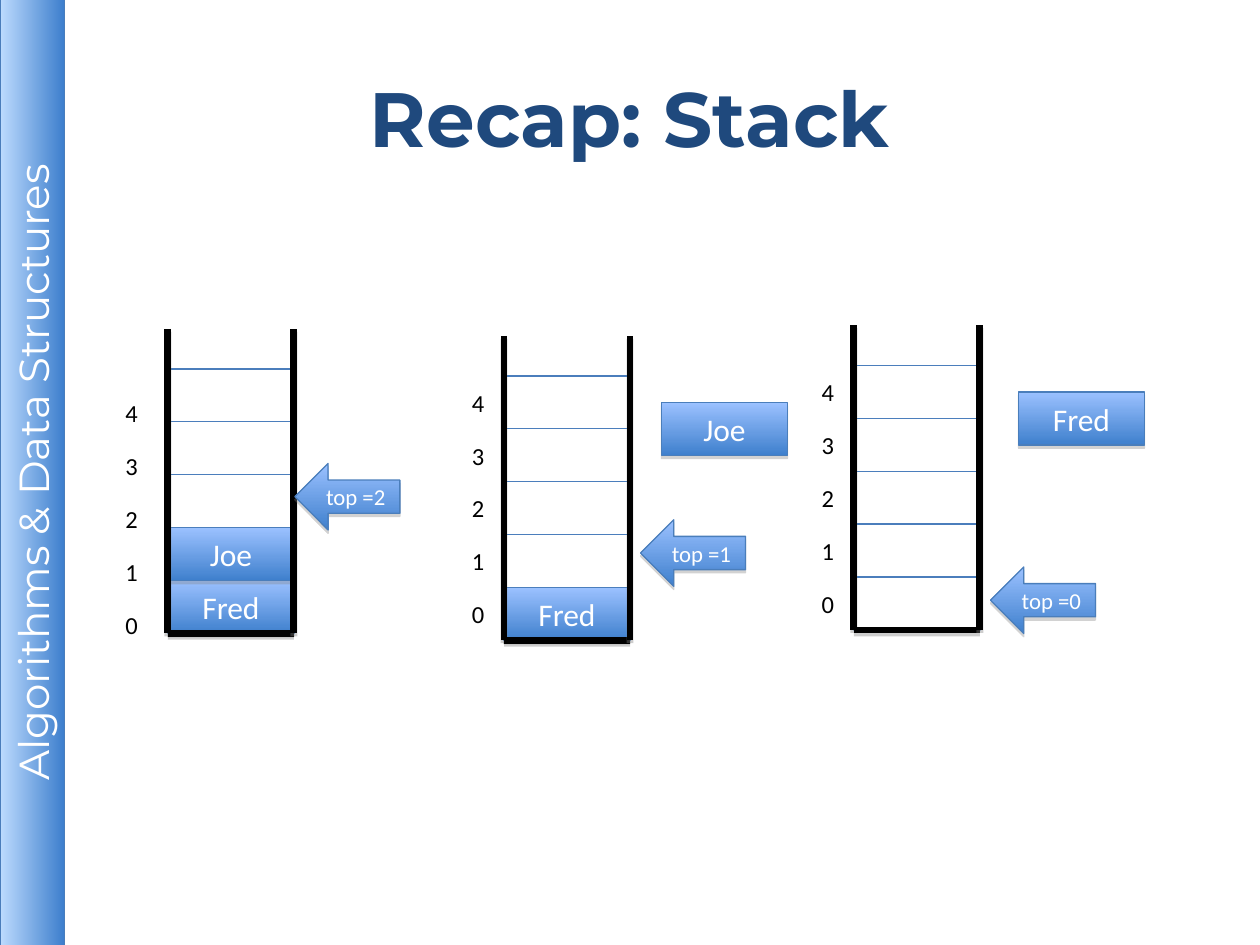
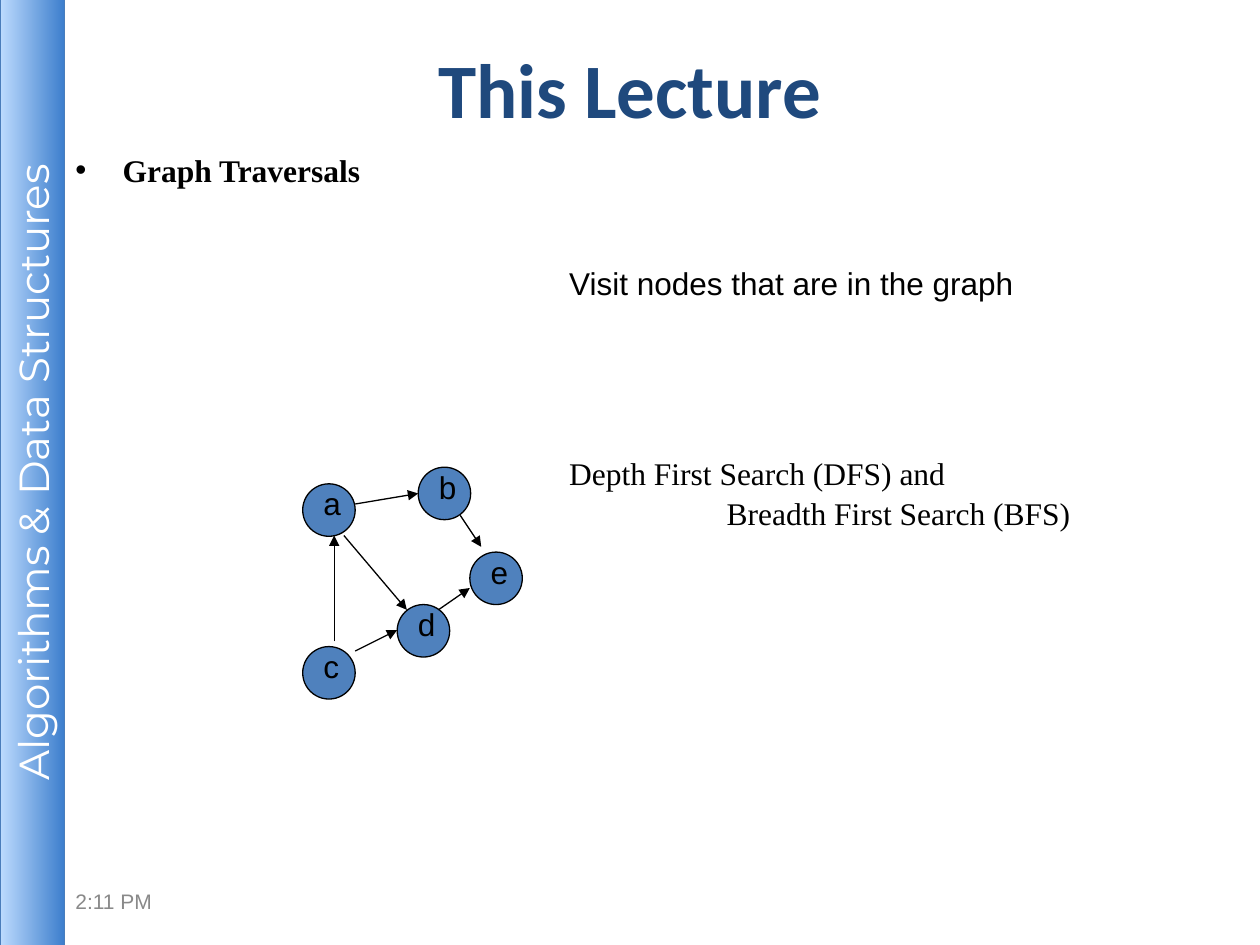
from lxml import etree
from pptx import Presentation
from pptx.dml.color import RGBColor
from pptx.enum.shapes import MSO_CONNECTOR, MSO_SHAPE
from pptx.enum.text import MSO_ANCHOR, PP_ALIGN
from pptx.oxml.ns import qn
from pptx.util import Pt

RECTANGLE, OVAL, LEFT_ARROW = MSO_SHAPE.RECTANGLE, MSO_SHAPE.OVAL, MSO_SHAPE.LEFT_ARROW
STRAIGHT = MSO_CONNECTOR.STRAIGHT
TOP, MIDDLE = MSO_ANCHOR.TOP, MSO_ANCHOR.MIDDLE
LEFT, CENTER, JUSTIFY = PP_ALIGN.LEFT, PP_ALIGN.CENTER, PP_ALIGN.JUSTIFY

# Shared style
WIDTH, HEIGHT = 720, 540
BLACK, WHITE, NAVY, GREY = "000000", "FFFFFF", "1F497D", "898989"
NODE_BLUE, CELL_LINE, ITEM_LINE, BAND_LINE = "4F81BD", "4B7EBC", "4A7EBB", "4A7DBB"
ITEM_GRADIENT = ("9BC1FF", "3F80CD")
BAND_GRADIENT = ("BDDBFE", "3E7FCD")
ITEM_SHADOW = ("808080", 35, 1.8)
WALL_SHADOW = ("808080", 38, 1.6)
BAND_SHADOW = ("EEECE1", 35, 1.8)

# Slide 1: stacks, from back to front
COURSE = "Algorithms & Data Structures"
CELL_WIDTH, CELL_HEIGHT, CELL_COUNT = 72, 30.24, 5
WALL_HEIGHT, WALL_LINE = 174, 4
STACKS = [
    dict(left=488, bottom=360, label_shift=(-30, 0), items=[],
         top="top =0", arrow=(566, 324)),
    dict(left=288, bottom=366, label_shift=(-30, 0), items=["Fred"],
         top="top =1", arrow=(366, 297)),
    dict(left=96, bottom=362, label_shift=(-36, 10), items=["Fred", "Joe"],
         top="top =2", arrow=(168.5, 264.8)),
]
POPPED_ITEMS = [("Joe", 378, 230), ("Fred", 582, 224)]

# Slide 2: graph
NODE_SIZE = 30
NODES = {"a": (173, 276.5), "b": (239, 267), "c": (173, 369.5),
         "e": (268.5, 315.5), "d": (227, 345.5)}
EDGES = [
    ((203, 288), (239, 282)),
    ((196.5, 306), (232.5, 348.5)),
    ((191, 366.5), (191, 306)),
    ((263, 294.5), (275, 312.5)),
    ((203, 372), (227, 360)),
    ((250.5, 348.5), (268.5, 336)),
]
TRAVERSAL_LINES = [
    ("Visit nodes that are in the graph", dict(font="Arial")),
    ("Depth First Search (DFS) and", dict(font="Times New Roman", before=87)),
    ("Breadth First Search (BFS)", dict(font="Times New Roman", before=1, indent=90)),
]


def color(value):
    return RGBColor.from_string(value)


def add_child(parent, tag, **attributes):
    child = etree.SubElement(parent, qn(tag))
    for name, value in attributes.items():
        child.set(name, str(value))
    return child


def set_shadow(properties, shadow):
    """Give shape properties a drop shadow, or an empty effect list."""
    effects = add_child(properties, "a:effectLst")
    if shadow:
        tint, opacity, distance = shadow
        outer = add_child(effects, "a:outerShdw", blurRad=0, dist=Pt(distance),
                          dir=5400000, rotWithShape=0)
        shade = add_child(outer, "a:srgbClr", val=tint)
        add_child(shade, "a:alpha", val=opacity * 1000)


def write(frame, text, font="Calibri", size=18, tint=BLACK, bold=False,
          align=LEFT, before=0, indent=0, bullet=None, spacing=None, first=True):
    para = frame.paragraphs[0] if first else frame.add_paragraph()
    settings = para._p.get_or_add_pPr()
    if indent:
        settings.set("marL", str(Pt(indent)))
    if bullet:
        settings.set("indent", str(-Pt(indent)))
    para.alignment = align
    if spacing:
        para.line_spacing = spacing
    if before:
        para.space_before = Pt(before)
    if bullet:
        add_child(settings, "a:buFont", typeface="Arial")
        add_child(settings, "a:buChar", char=bullet)
    span = para.add_run()
    span.text = text
    span.font.name, span.font.size, span.font.bold = font, Pt(size), bold
    span.font.color.rgb = color(tint)


def add_text(page, text, left, top, width, height, anchor=TOP, wrap=True, **style):
    box = page.shapes.add_textbox(Pt(left), Pt(top), Pt(width), Pt(height))
    box.text_frame.word_wrap = wrap
    box.text_frame.vertical_anchor = anchor
    write(box.text_frame, text, **style)
    return box


def add_box(page, left, top, width, height, kind=RECTANGLE, fill=WHITE,
            line=None, shadow=None, text=None, **style):
    shape = page.shapes.add_shape(kind, Pt(left), Pt(top), Pt(width), Pt(height))
    if isinstance(fill, tuple):
        shape.fill.gradient()
        shape.fill.gradient_angle = 270
        for stop, tint in zip(shape.fill.gradient_stops, fill):
            stop.color.rgb = color(tint)
        for stop, position in zip(shape.fill.gradient_stops, (0, 1)):
            stop.position = position
    else:
        shape.fill.solid()
        shape.fill.fore_color.rgb = color(fill)
    if line:
        shape.line.color.rgb = color(line)
        shape.line.width = Pt(0.75)
    else:
        shape.line.fill.background()
    if shadow:
        set_shadow(shape._element.spPr, shadow)
    else:
        shape.shadow.inherit = False
    if text:
        write(shape.text_frame, text, align=CENTER, **style)
    return shape


def add_line(page, start, end, width=0.75, arrow=False, shadow=None):
    points = [Pt(value) for value in (*start, *end)]
    connector = page.shapes.add_connector(STRAIGHT, *points)
    connector.line.color.rgb = color(BLACK)
    connector.line.width = Pt(width)
    if arrow:
        add_child(connector.line._get_or_add_ln(), "a:tailEnd", type="triangle")
    set_shadow(connector._element.spPr, shadow)


def add_item(page, text, left, top, width=CELL_WIDTH, height=CELL_HEIGHT,
             kind=RECTANGLE, size=18):
    add_box(page, left, top, width, height, kind=kind, fill=ITEM_GRADIENT,
            line=ITEM_LINE, shadow=ITEM_SHADOW, text=text, size=size, tint=WHITE)


def add_page(deck):
    """Add a blank slide with the course band along its left edge."""
    page = deck.slides.add_slide(deck.slide_layouts[6])
    length, thickness = HEIGHT + 0.6, 36.8
    band = add_box(page, (thickness - length) / 2, (HEIGHT - thickness) / 2,
                   length, thickness, fill=BAND_GRADIENT, line=BAND_LINE,
                   shadow=BAND_SHADOW, text=COURSE, font="Montserrat", size=24,
                   tint=WHITE)
    band.rotation = 270
    frame = band.text_frame
    frame.margin_left = frame.margin_right = Pt(3)
    frame.margin_top = frame.margin_bottom = Pt(3)
    return page


def add_title(page, text, top, font):
    add_text(page, text, 36, top, 648, 90, anchor=MIDDLE, font=font, size=44,
             tint=NAVY, bold=True, align=CENTER)


def add_stack(page, left, bottom, label_shift, items, top, arrow):
    shift_x, shift_y = label_shift
    for index in range(CELL_COUNT):
        cell_top = bottom - (index + 1) * CELL_HEIGHT
        add_box(page, left + shift_x, cell_top + shift_y, CELL_HEIGHT, CELL_HEIGHT,
                text=str(index), size=14)
        if index < len(items):
            add_item(page, items[index], left, cell_top)
        else:
            add_box(page, left, cell_top, CELL_WIDTH, CELL_HEIGHT, line=CELL_LINE)
    # Walls and floor
    right, rim = left + CELL_WIDTH, bottom - WALL_HEIGHT
    corners = [(left, rim), (left, bottom), (right, bottom), (right, rim)]
    for start, end in zip(corners, corners[1:]):
        add_line(page, start, end, width=WALL_LINE, shadow=WALL_SHADOW)
    add_item(page, top, *arrow, 60, 38, kind=LEFT_ARROW, size=13)


def build_stack_page(deck):
    page = add_page(deck)
    for stack in STACKS:
        add_stack(page, **stack)
    for text, left, top in POPPED_ITEMS:
        add_item(page, text, left, top)
    add_title(page, "Recap: Stack", 21.6, "Montserrat")


def build_graph_page(deck):
    page = add_page(deck)
    add_title(page, "This Lecture", 5, "Calibri")
    add_text(page, "Graph Traversals", 36, 87, 648, 99, font="Times New Roman",
             bold=True, align=JUSTIFY, indent=27, bullet="•", spacing=0.8)
    add_text(page, "2:11 PM", 36, 500.5, 168, 28.8, anchor=MIDDLE, font="Arial",
             size=12, tint=GREY)
    # Nodes and edges
    for name, (left, top) in NODES.items():
        add_box(page, left, top, NODE_SIZE, NODE_SIZE, kind=OVAL, fill=NODE_BLUE,
                line=BLACK)
        add_text(page, name, left + 4.7, top - 3.2, 24.4, 29, wrap=False, font="Arial")
    for start, end in EDGES:
        add_line(page, start, end, arrow=True)
    # Traversal notes
    (text, style), *others = TRAVERSAL_LINES
    notes = add_text(page, text, 318.2, 147.6, 304, 291, **style)
    for text, style in others:
        write(notes.text_frame, text, first=False, **style)


def main():
    deck = Presentation()
    deck.slide_width, deck.slide_height = Pt(WIDTH), Pt(HEIGHT)
    build_stack_page(deck)
    build_graph_page(deck)
    deck.save("out.pptx")


if __name__ == "__main__":
    main()
